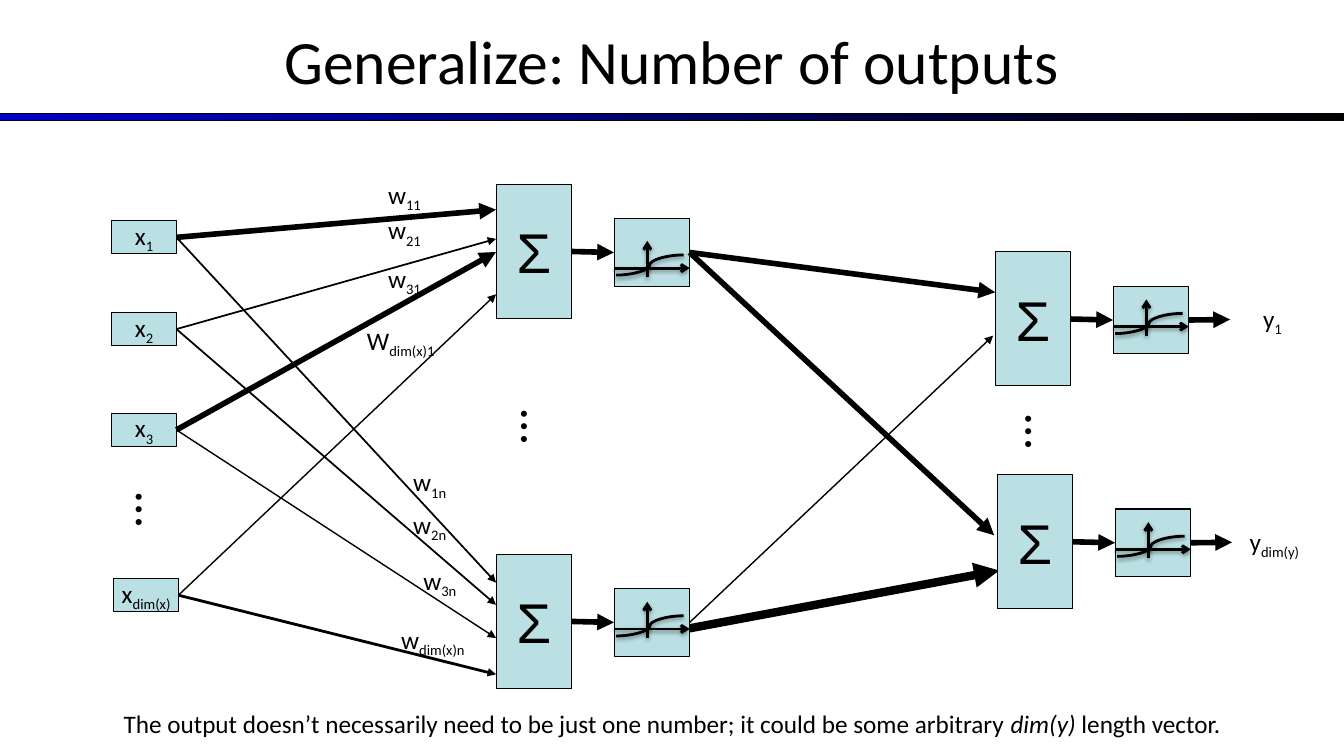
import pptx
import pptx.dml.color
import pptx.enum.shapes
import pptx.enum.text
import pptx.util
from lxml import etree
from pptx.util import Inches

NS = "http://schemas.openxmlformats.org/drawingml/2006/main"
CENTER = pptx.enum.text.PP_ALIGN.CENTER
LEFT = pptx.enum.text.PP_ALIGN.LEFT
MIDDLE = pptx.enum.text.MSO_ANCHOR.MIDDLE
STRAIGHT = pptx.enum.shapes.MSO_CONNECTOR.STRAIGHT
CURVE = pptx.enum.shapes.MSO_CONNECTOR.CURVE
LEFT_SIDE, RIGHT_SIDE = 1, 3


def rgb(value):
    return pptx.dml.color.RGBColor.from_string(value)


def add(parent, tag, **attrs):
    return etree.SubElement(parent, f"{{{NS}}}{tag}", attrs)


def write(shape, parts, size=18, font="Calibri", align=CENTER):
    """Fill the first paragraph; parts are (text, style) with style '', 'sub' or 'i'."""
    p = shape.text_frame.paragraphs[0]
    p.alignment = align
    p.font.size = pptx.util.Pt(size)
    p.font.name = font
    p.font.color.rgb = rgb("000000")
    for text, style in parts:
        r = p.add_run()
        r.text = text
        if style == "sub":
            r._r.get_or_add_rPr().set("baseline", "-25000")
        elif style == "i":
            r.font.italic = True


def indexed(name, index):
    return [(name, ""), (index, "sub")]


def box(s, x, y, w, h):
    sp = s.shapes.add_shape(pptx.enum.shapes.MSO_SHAPE.RECTANGLE,
                            Inches(x), Inches(y), Inches(w), Inches(h))
    sp.shadow.inherit = False
    sp.fill.solid()
    sp.fill.fore_color.rgb = rgb("BBE0E3")
    sp.line.color.rgb = rgb("000000")
    sp.line.width = pptx.util.Pt(0.75)
    sp.text_frame.word_wrap = False
    sp.text_frame.vertical_anchor = MIDDLE
    return sp


def label(s, x, y, w, h, parts, size=18, align=LEFT, rotation=0):
    sp = s.shapes.add_textbox(Inches(x), Inches(y), Inches(w), Inches(h))
    sp.text_frame.word_wrap = True
    sp.rotation = rotation
    write(sp, parts, size, align=align)


def line(s, start, end, width, head="triangle", kind=STRAIGHT, shadow=False):
    """Draw a connector; start and end are points or (shape, side) pairs."""
    joins = [isinstance(e[0], pptx.shapes.autoshape.Shape) for e in (start, end)]
    points = [(0, 0) if j else e for j, e in zip(joins, (start, end))]
    c = s.shapes.add_connector(kind, *[Inches(v) for pt in points for v in pt])
    if joins[0]:
        c.begin_connect(*start)
    if joins[1]:
        c.end_connect(*end)
    c.line.color.rgb = rgb("000000")
    c.line.width = pptx.util.Pt(width)
    if head:
        add(c.line._get_or_add_ln(), "tailEnd", type=head)
    effects = add(c._element.spPr, "effectLst")
    if shadow:
        outer = add(effects, "outerShdw", blurRad="39370", dist="20320",
                    dir="5400000", rotWithShape="0")
        add(add(outer, "srgbClr", val="000000"), "alpha", val="38000")
    return c


def neuron(s, x, y, axis_y):
    """Sum box feeding an activation box with a sigmoid; returns the latter."""
    total = box(s, x, y, 0.75, 1.33)
    write(total, [("Σ", "")], 40, "Arial")
    left = x + 1.17
    activation = box(s, left, y + 0.34, 0.75, 0.67)
    line(s, (total, RIGHT_SIDE), (activation, LEFT_SIDE), 4)
    line(s, (left, axis_y), (left + 0.75, axis_y), 2, "arrow", shadow=True)
    line(s, (left + 0.33, axis_y + 0.09), (left + 0.33, axis_y - 0.27), 2,
         "arrow", shadow=True)
    line(s, (left + 0.02, axis_y + 0.07), (left + 0.69, axis_y - 0.13), 2,
         None, CURVE, shadow=True)
    return activation


def heading(s):
    bar = box(s, 0, 1.13, 13.33, 0.07)
    bar.fill.gradient()
    bar.fill.gradient_angle = 0
    for stop, colour, at in zip(bar.fill.gradient_stops, ("0000CC", "000000"), (0, 1)):
        stop.color.rgb = rgb(colour)
        stop.position = at
    title = s.shapes.title
    title.left, title.top = Inches(0), Inches(-0.03)
    title.width, title.height = Inches(13.33), Inches(1.25)
    title.text_frame.vertical_anchor = MIDDLE
    write(title, [("Generalize: Number of outputs", "")], 44)


def main():
    prs = pptx.Presentation()
    prs.slide_width, prs.slide_height = Inches(13.33), Inches(7.5)
    s = prs.slides.add_slide(prs.slide_layouts[5])
    heading(s)

    line(s, (6.75, 6.25), (9.91, 5.66), 6)
    hidden_1 = neuron(s, 4.92, 1.83, 2.66)
    hidden_n = neuron(s, 4.92, 5.5, 6.24)

    # Each input: index, position, then (height at the sum box, line width) per weight
    inputs = [
        ("1", 1.11, 2.19, [(2.08, 4), (5.78, 1.25)]),
        ("2", 1.11, 3.1, [(2.37, 1.25), (6, 1.25)]),
        ("3", 1.11, 4.1, [(2.5, 4), (6.33, 1)]),
        ("dim(x)", 1.13, 5.74, [(2.92, 1), (6.69, 2)]),
    ]
    for index, x, y, weights in inputs:
        node = box(s, x, y, 0.64, 0.33)
        write(node, indexed("x", index))
        for end_y, width in weights:
            line(s, (node, RIGHT_SIDE), (4.92, end_y), width)

    outputs = [("1", 9.87, 2.5), ("dim(y)", 9.89, 4.71)]
    for index, x, y in outputs:
        activation = neuron(s, x, y, y + 0.74)
        line(s, (activation, RIGHT_SIDE), (x + 2.33, y + 0.67), 4)
        label(s, x + 2.29, y + 0.46, 0.92, 0.44, indexed("y", index), align=CENTER)

    line(s, (hidden_1, RIGHT_SIDE), (9.87, 2.9), 4)
    line(s, (hidden_1, RIGHT_SIDE), (9.86, 5.31), 4)
    line(s, (hidden_n, RIGHT_SIDE), (9.85, 3.33), 1)

    weight_labels = [
        ("w", "11", 3.75, 1.73), ("w", "21", 3.75, 2.08), ("w", "31", 3.75, 2.56),
        ("W", "dim(x)1", 3.54, 3.18), ("w", "1n", 4, 4.58), ("w", "2n", 4, 5),
        ("w", "3n", 4.1, 5.56), ("w", "dim(x)n", 3.88, 6.14),
    ]
    for name, index, x, y in weight_labels:
        label(s, x, y, 1 if "dim" in index else 0.58, 0.44, indexed(name, index))

    for x, y in [(1.29, 4.76), (5.11, 3.93), (10.11, 3.98)]:
        label(s, x, y, 0.58, 0.64, [("…", "")], 36, rotation=90)

    label(s, 0.2, 6.98, 12.93, 0.42, [
        ("The output doesn’t necessarily need to be just one number; "
         "it could be some arbitrary ", ""),
        ("dim(y)", "i"), (" length vector.", "")], align=CENTER)
    prs.save("out.pptx")


if __name__ == "__main__":
    main()
